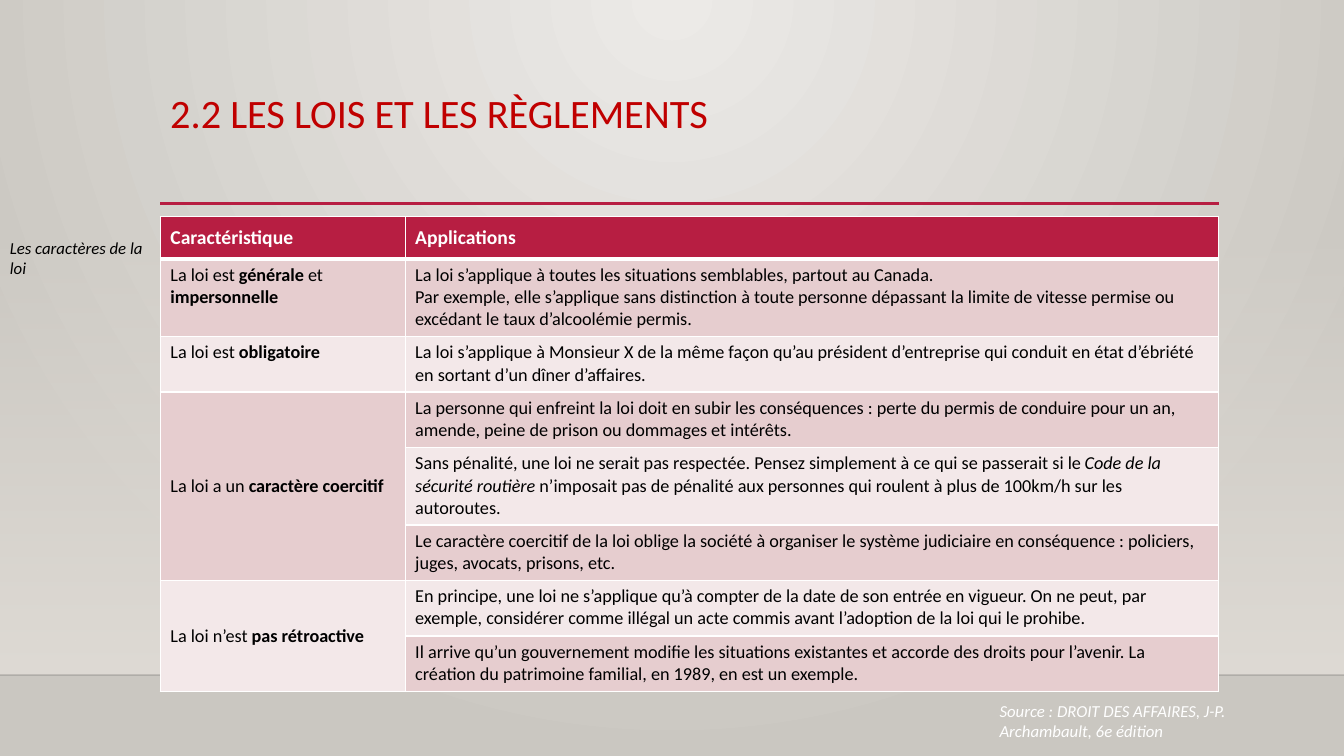
import pptx
import pptx.util
import pptx.oxml
import pptx.oxml.ns
import pptx.dml.color
import pptx.enum.shapes
import pptx.enum.text
import lxml.etree

Cm, Pt = pptx.util.Cm, pptx.util.Pt
qn = pptx.oxml.ns.qn
TOP = pptx.enum.text.MSO_ANCHOR.TOP
MIDDLE = pptx.enum.text.MSO_ANCHOR.MIDDLE

HUES = {
    "glow": "ECEAE7", "edge": "CAC7C1", "wall": "DFDBD5", "floor": "000001",
    "brand": "B71E42", "title": "C00000", "dark": "E6CDCF", "pale": "F3E8E9",
    "white": "FFFFFF", "black": "000000",
}
WIDE, HIGH = 33.87, 19.05
LEFT = 4.04
COLS = [6.17, 20.5]
ROWS = [1.07, 1.95, 1.4, 1.4, 1.95, 1.4, 1.4, 1.4]
HEAD = ["Caractéristique", "Applications"]
TRAITS = [
    ("La loi est *générale* et *impersonnelle*", TOP, [
        "La loi s’applique à toutes les situations semblables, partout au Canada.\n"
        "Par exemple, elle s’applique sans distinction à toute personne dépassant "
        "la limite de vitesse permise ou excédant le taux d’alcoolémie permis."]),
    ("La loi est *obligatoire*", TOP, [
        "La loi s’applique à Monsieur X de la même façon qu’au président d’entreprise "
        "qui conduit en état d’ébriété en sortant d’un dîner d’affaires."]),
    ("La loi a un *caractère coercitif*", MIDDLE, [
        "La personne qui enfreint la loi doit en subir les conséquences : perte du permis "
        "de conduire pour un an, amende, peine de prison ou dommages et intérêts.",
        "Sans pénalité, une loi ne serait pas respectée. Pensez simplement à ce qui se "
        "passerait si le _Code de la sécurité routière _n’imposait pas de pénalité aux "
        "personnes qui roulent à plus de 100km/h sur les autoroutes.",
        "Le caractère coercitif de la loi oblige la société à organiser le système "
        "judiciaire en conséquence : policiers, juges, avocats, prisons, etc."]),
    ("La loi n’est *pas rétroactive*", MIDDLE, [
        "En principe, une loi ne s’applique qu’à compter de la date de son entrée en "
        "vigueur. On ne peut, par exemple, considérer comme illégal un acte commis avant "
        "l’adoption de la loi qui le prohibe.",
        "Il arrive qu’un gouvernement modifie les situations existantes et accorde des "
        "droits pour l’avenir. La création du patrimoine familial, en 1989, en est un "
        "exemple."]),
]


def tint(name):
    return pptx.dml.color.RGBColor.from_string(HUES[name])


def add_node(parent, tag, **attrs):
    return lxml.etree.SubElement(parent, qn(tag), attrs)


def fade(node, value):
    add_node(next(node.iter(qn("a:srgbClr"))), "a:alpha", val=str(value * 1000))


def blend(fill, *names):
    fill.gradient()
    for stop, name in zip(fill.gradient_stops, names):
        stop.color.rgb = tint(name)


def paint_back(slide):
    blend(slide.background.fill, "glow", "edge")
    grad = next(slide.element.iter(qn("a:gradFill")))
    grad.remove(grad.find(qn("a:lin")))
    focus = add_node(grad, "a:path", path="circle")
    add_node(focus, "a:fillToRect", l="43000", t="0", r="43000", b="100000")


def add_wall(slide):
    rect = pptx.enum.shapes.MSO_SHAPE.RECTANGLE
    wall = slide.shapes.add_shape(rect, 0, Cm(5.61), Cm(WIDE), Cm(11.4))
    wall.shadow.inherit = False
    wall.line.fill.background()
    blend(wall.fill, "wall", "wall")
    wall.fill.gradient_angle = 270
    fade(wall.element, 0)


def add_rule(slide, left, right, top, hue, width):
    kind = pptx.enum.shapes.MSO_CONNECTOR.STRAIGHT
    rule = slide.shapes.add_connector(kind, Cm(left), Cm(top), Cm(right), Cm(top))
    rule.line.color.rgb = tint(hue)
    rule.line.width = Pt(width)
    add_node(rule.element.spPr, "a:effectLst")
    return rule


def set_font(font, size, hue):
    font.name = "Calibri"
    font.size = Pt(size)
    font.color.rgb = tint(hue)


def add_text(slide, box, text, size, hue, italic=True):
    frame = slide.shapes.add_textbox(*map(Cm, box)).text_frame
    frame.word_wrap = True
    par = frame.paragraphs[0]
    par.text = text
    set_font(par.font, size, hue)
    par.font.italic = italic
    return par


def set_edge(cell, side, width):
    props = cell._tc.get_or_add_tcPr()
    line = add_node(props, f"a:ln{side}", w=str(Pt(width)))
    add_node(add_node(line, "a:solidFill"), "a:srgbClr", val=HUES["white"])


def style_cell(cell, row):
    widths = {"L": 1, "R": 1, "T": 3 if row == 1 else 1, "B": 3 if row == 0 else 1}
    for side, width in widths.items():
        set_edge(cell, side, width)
    cell.fill.solid()
    hue = "brand" if row == 0 else ("dark" if row % 2 else "pale")
    cell.fill.fore_color.rgb = tint(hue)


def write_cell(cell, text, size=13, hue="black", bold=False, anchor=TOP):
    cell.vertical_anchor = anchor
    frame = cell.text_frame
    for i, line in enumerate(text.split("\n")):
        par = frame.paragraphs[0] if i == 0 else frame.add_paragraph()
        set_font(par.font, size, hue)
        par.font.bold = bold
        mark, style = ("_", "italic") if "_" in line else ("*", "bold")
        for j, bit in enumerate(line.split(mark)):
            if bit:
                run = par.add_run()
                run.text = bit
                set_font(run.font, size, hue)
                run.font.bold = bold
                if j % 2:
                    setattr(run.font, style, True)


def add_grid(slide):
    frame = slide.shapes.add_table(len(ROWS), len(COLS), Cm(LEFT), Cm(5.46),
                                   Cm(sum(COLS)), Cm(sum(ROWS)))
    table = frame.table
    for col, width in zip(table.columns, COLS):
        col.width = Cm(width)
    for i, (row, height) in enumerate(zip(table.rows, ROWS)):
        row.height = Cm(height)
        for cell in row.cells:
            style_cell(cell, i)
    for i, text in enumerate(HEAD):
        write_cell(table.cell(0, i), text, 14, "white", True, MIDDLE)
    top = 1
    for trait, anchor, uses in TRAITS:
        first = table.cell(top, 0)
        write_cell(first, trait, anchor=anchor)
        if len(uses) > 1:
            first.merge(table.cell(top + len(uses) - 1, 0))
        for i, text in enumerate(uses):
            write_cell(table.cell(top + i, 1), text)
        top += len(uses)


def main():
    deck = pptx.Presentation()
    deck.slide_width, deck.slide_height = Cm(WIDE), Cm(HIGH)
    slide = deck.slides.add_slide(deck.slide_layouts[6])
    paint_back(slide)
    add_wall(slide)
    floor = add_rule(slide, 0, WIDE, 17.01, "floor", 1)
    fade(floor.element, 20)
    add_rule(slide, LEFT, 30.73, 5.13, "brand", 2.5)
    title = add_text(slide, (LEFT, 2.24, 26.67, 2.92),
                     "2.2 LES LOIS ET LES RÈGLEMENTS", 28.8, "title", False)
    title.line_spacing = 0.9
    add_grid(slide)
    add_text(slide, (24.94, 17.53, 7.95, 1.28),
             "Source : DROIT DES AFFAIRES, J-P. Archambault, 6e édition", 12, "white")
    add_text(slide, (0, 5.87, LEFT, 1.28), "Les caractères de la loi", 12, "black")
    deck.save("out.pptx")


if __name__ == "__main__":
    main()
